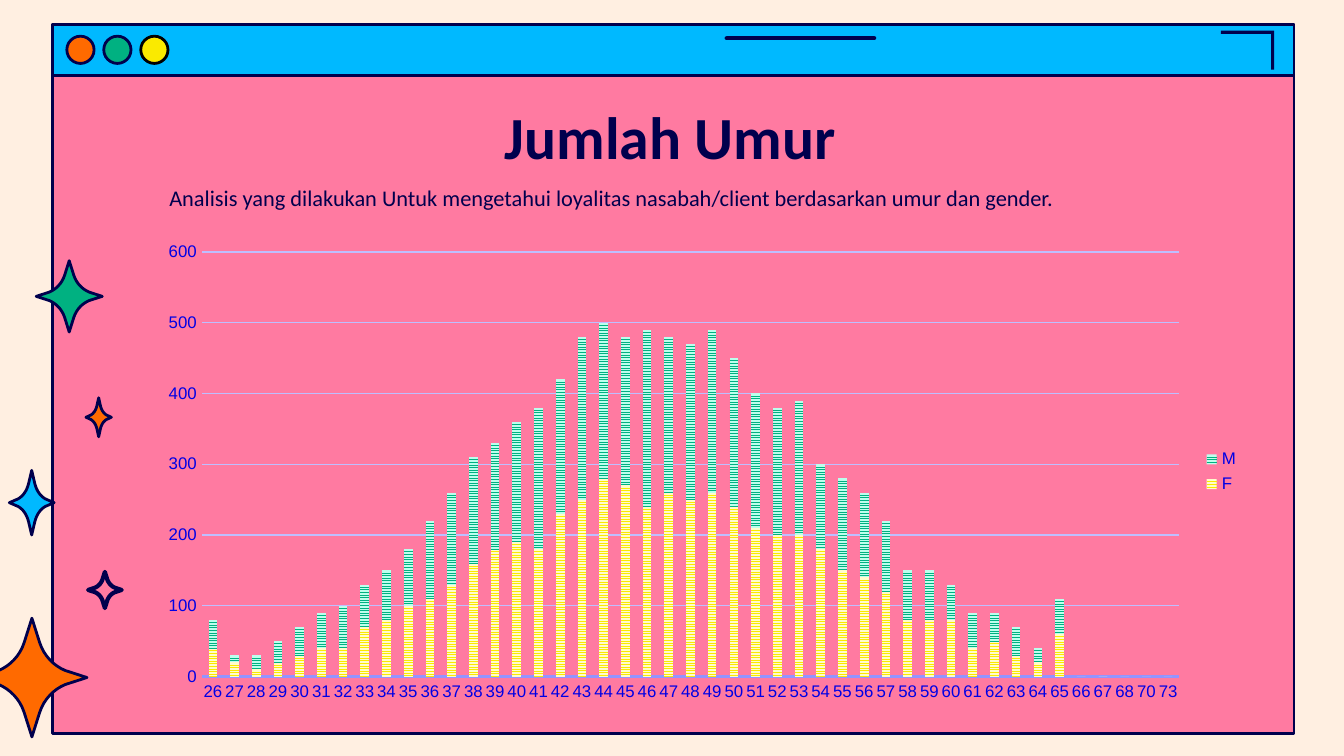
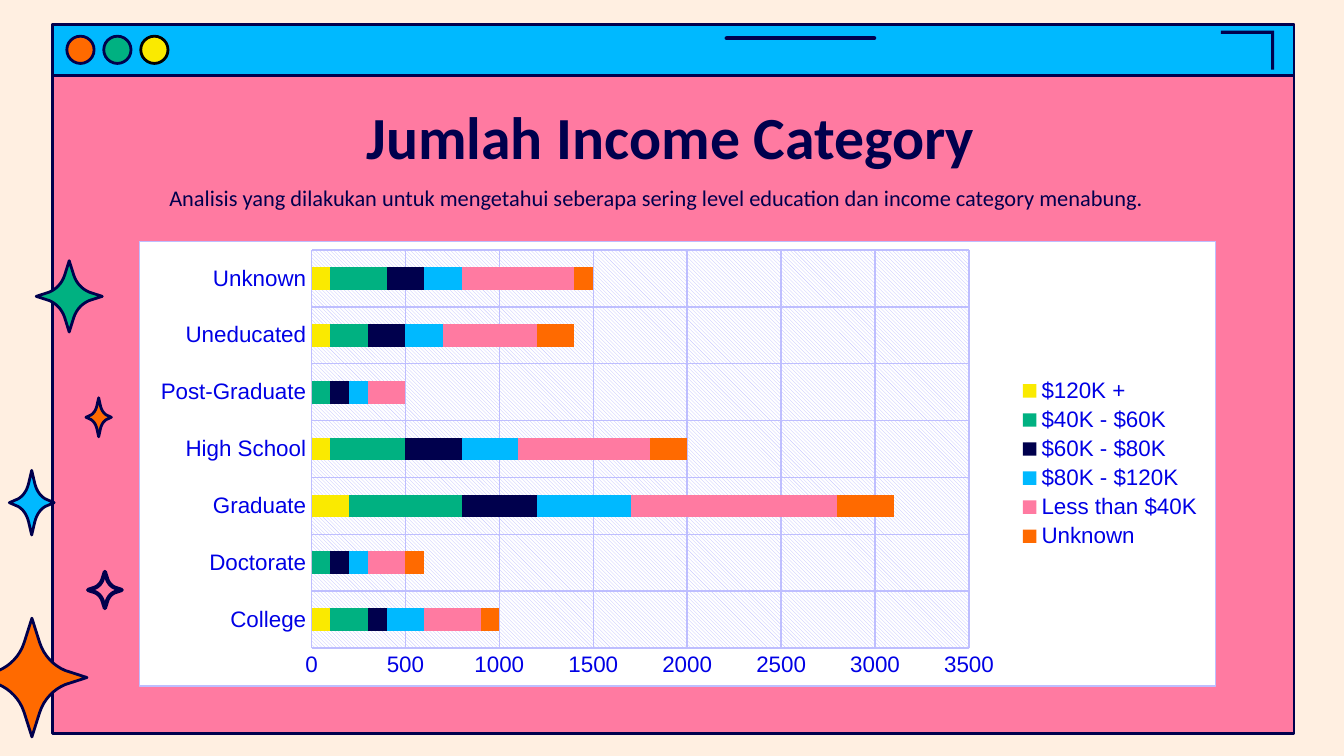
from dataclasses import dataclass
from typing import Optional, Sequence

from pptx import Presentation
from pptx.chart.data import CategoryChartData
from pptx.dml.color import RGBColor
from pptx.enum import chart as c, dml, shapes, text
from pptx.oxml import parse_xml
from pptx.oxml.ns import nsdecls, qn
from pptx.util import Pt

NAVY = RGBColor(0x00, 0x00, 0x4D)
BLACK = RGBColor(0x00, 0x00, 0x00)
WHITE = RGBColor(0xFF, 0xFF, 0xFF)
CREAM = RGBColor(0xFF, 0xEF, 0xE1)
PINK = RGBColor(0xFF, 0x7A, 0xA1)
SKY = RGBColor(0x00, 0xB9, 0xFF)
GREEN = RGBColor(0x00, 0xB1, 0x81)
MINT = RGBColor(0xBC, 0xFF, 0xED)
YELLOW = RGBColor(0xFA, 0xEA, 0x00)
PALE_YELLOW = RGBColor(0xFF, 0xFC, 0xCB)
ORANGE = RGBColor(0xFF, 0x6A, 0x00)
LABEL_BLUE = RGBColor(0x00, 0x00, 0xE5)
AXIS_BLUE = RGBColor(0x93, 0x93, 0xFF)
GRID_BLUE = RGBColor(0xBE, 0xBE, 0xFF)

TEXT_FONT = "Calibri"
CHART_FONT = "Arial"


@dataclass(frozen=True)
class Box:
    left: float
    top: float
    width: float
    height: float

    def lengths(self):
        return Pt(self.left), Pt(self.top), Pt(self.width), Pt(self.height)


@dataclass(frozen=True)
class Star:
    box: Box
    fill: Optional[RGBColor]
    line_width: float = 1.5


@dataclass(frozen=True)
class Series:
    name: str
    values: Sequence
    color: RGBColor
    stripe: Optional[RGBColor] = None


@dataclass(frozen=True)
class StackedChart:
    kind: c.XL_CHART_TYPE
    box: Box
    categories: Sequence[str]
    series: Sequence[Series]
    maximum: int
    step: int
    label_size: float
    category_line: tuple
    value_line: Optional[tuple] = None
    category_grid: bool = False
    panel: bool = False


@dataclass(frozen=True)
class Page:
    title: str
    body: str
    chart: StackedChart


TITLE_BOX = Box(54.7, 46, 609, 45.4)
BODY_BOX = Box(71.3, 91.4, 583.2, 252.7)
FRAME = Box(28, 13, 665.3, 380.1)
BAR = Box(28, 13, 665.3, 27.4)
DASH = Box(388.2, 19.4, 81.2, 2)
CORNER = [(654, 16.5), (682.6, 16.5), (682.6, 37.3), (680.9, 37.3), (680.9, 18.2), (654, 18.2)]
DOTS = [(ORANGE, NAVY), (GREEN, NAVY), (YELLOW, BLACK)]
STARS = [
    Star(Box(5, 252, 24, 34.6), SKY),
    Star(Box(47.2, 306.4, 18, 19.4), None, 2.25),
    Star(Box(-12.4, 331.2, 59, 63.6), ORANGE),
    Star(Box(19.4, 139.7, 35.4, 38.2), GREEN),
    Star(Box(46.1, 213.1, 13.6, 20.9), ORANGE),
]


def style_shape(shape, fill: Optional[RGBColor], line: Optional[RGBColor], width: float = 1.5) -> None:
    shape.shadow.inherit = False
    if fill is None:
        shape.fill.background()
    else:
        shape.fill.solid()
        shape.fill.fore_color.rgb = fill
    if line is None:
        shape.line.fill.background()
    else:
        style_line(shape.line, line, width)


def style_line(line, color: RGBColor, width: float) -> None:
    line.color.rgb = color
    line.width = Pt(width)


def add_preset(slide, kind, box: Box, fill: RGBColor, line: Optional[RGBColor]):
    shape = slide.shapes.add_shape(kind, *box.lengths())
    style_shape(shape, fill, line)
    return shape


def add_outline(slide, points: Sequence[tuple]):
    corners = [(Pt(x), Pt(y)) for x, y in points]
    builder = slide.shapes.build_freeform(*corners[0])
    builder.add_line_segments(corners[1:], close=True)
    return builder.convert_to_shape()


def star_points(box: Box) -> list:
    controls = [(0.14, 0.59), (0.22, 0.36), (0.4, 0.2), (0.6, 0.12)]
    quarter = [(0, 1)]
    for step in range(9):
        t = step / 8
        weights = [(1 - t) ** 3, 3 * t * (1 - t) ** 2, 3 * t * t * (1 - t), t ** 3]
        quarter.append(tuple(sum(w * p[axis] for w, p in zip(weights, controls)) for axis in (0, 1)))
    quarter.append((1, 0))
    half_width, half_height = box.width / 2, box.height / 2
    points = []
    for x_sign, y_sign in [(1, -1), (1, 1), (-1, 1), (-1, -1)]:
        arm = quarter if x_sign != y_sign else quarter[::-1]
        points += [
            (box.left + half_width * (1 + x_sign * x), box.top + half_height * (1 + y_sign * y))
            for x, y in arm[:-1]
        ]
    return points


def draw_window(slide, layout) -> None:
    oval = shapes.MSO_SHAPE.OVAL
    rectangle = shapes.MSO_SHAPE.RECTANGLE
    parts = [add_preset(slide, rectangle, FRAME, PINK, NAVY), add_preset(slide, rectangle, BAR, SKY, NAVY)]
    corner = add_outline(slide, CORNER)
    style_shape(corner, NAVY, None)
    dash = add_preset(slide, shapes.MSO_SHAPE.ROUNDED_RECTANGLE, DASH, NAVY, None)
    dash.adjustments[0] = 0.5
    parts += [corner, dash]
    for index, (fill, line) in enumerate(DOTS):
        parts.append(add_preset(slide, oval, Box(35.8 + 19.8 * index, 19.4, 14.6, 14.6), fill, line))
    for star in STARS:
        shape = add_outline(slide, star_points(star.box))
        style_shape(shape, star.fill, NAVY, star.line_width)
        parts.append(shape)
    for part in parts:
        layout.shapes.element.append(part.element)


def write_text(shape, box: Box, content: str, *, size: float, bold: bool = False,
               align=text.PP_ALIGN.LEFT, indent: float = 0) -> None:
    shape.left, shape.top, shape.width, shape.height = box.lengths()
    frame = shape.text_frame
    frame.word_wrap = True
    frame.auto_size = text.MSO_AUTO_SIZE.NONE
    frame.vertical_anchor = text.MSO_ANCHOR.TOP
    frame.margin_left = frame.margin_right = frame.margin_top = frame.margin_bottom = Pt(7.2)
    paragraph = frame.paragraphs[0]
    paragraph.alignment = align
    paragraph.space_before = Pt(0)
    properties = paragraph._p.get_or_add_pPr()
    properties.set("marL", str(Pt(indent)))
    properties.set("indent", "0")
    properties.append(parse_xml(f"<a:buNone {nsdecls('a')}/>"))
    run = paragraph.add_run()
    run.text = content
    style_font(run.font, TEXT_FONT, size, NAVY, bold)


def style_font(font, name: str, size: float, color: RGBColor, bold: bool = False) -> None:
    font.name = name
    font.size = Pt(size)
    font.bold = bold
    font.color.rgb = color


def area_format(fill: str, line: str = "<a:ln><a:noFill/></a:ln>"):
    return parse_xml(f"<c:spPr {nsdecls('c', 'a')}>{fill}{line}</c:spPr>")


def color_xml(color: RGBColor) -> str:
    return f'<a:srgbClr val="{color}"/>'


def style_areas(chart, panel: bool) -> None:
    chart_node = chart.element.find(qn("c:chart"))
    plot_area = chart_node.find(qn("c:plotArea"))
    empty = "<a:noFill/>"
    if not panel:
        chart_node.addnext(area_format(empty))
        plot_area.append(area_format(empty))
        return
    border = f'<a:ln w="{Pt(0.75)}"><a:solidFill>{color_xml(GRID_BLUE)}</a:solidFill></a:ln>'
    chart_node.addnext(area_format(f"<a:solidFill>{color_xml(WHITE)}</a:solidFill>", border))
    plot_area.append(area_format(
        f'<a:pattFill prst="ltDnDiag"><a:fgClr>{color_xml(GRID_BLUE)}</a:fgClr>'
        f"<a:bgClr>{color_xml(WHITE)}</a:bgClr></a:pattFill>"))


def style_axis(axis, size: float, line: Optional[tuple], grid: bool) -> None:
    axis.major_tick_mark = axis.minor_tick_mark = c.XL_TICK_MARK.NONE
    style_font(axis.tick_labels.font, CHART_FONT, size, LABEL_BLUE)
    axis.has_major_gridlines = grid
    if grid:
        style_line(axis.major_gridlines.format.line, GRID_BLUE, 0.75)
    if line is None:
        axis.format.line.fill.background()
    else:
        style_line(axis.format.line, *line)


def add_stacked_chart(slide, stacked: StackedChart) -> None:
    data = CategoryChartData()
    data.categories = stacked.categories
    for series in stacked.series:
        data.add_series(series.name, series.values)
    chart = slide.shapes.add_chart(stacked.kind, *stacked.box.lengths(), data).chart
    chart.has_title = False
    style_font(chart.font, CHART_FONT, 10, NAVY)
    chart.has_legend = True
    chart.legend.position = c.XL_LEGEND_POSITION.RIGHT
    chart.legend.include_in_layout = False
    style_font(chart.legend.font, CHART_FONT, stacked.label_size, LABEL_BLUE)
    plot = chart.plots[0]
    plot.gap_width, plot.overlap, plot.vary_by_categories = 150, 100, False
    for drawn, series in zip(plot.series, stacked.series):
        drawn.invert_if_negative = False
        fill = drawn.format.fill
        if series.stripe is None:
            fill.solid()
        else:
            fill.patterned()
            fill.pattern = dml.MSO_PATTERN.NARROW_HORIZONTAL
            fill.back_color.rgb = series.stripe
        fill.fore_color.rgb = series.color
    style_axis(chart.category_axis, stacked.label_size, stacked.category_line, stacked.category_grid)
    style_axis(chart.value_axis, stacked.label_size, stacked.value_line, True)
    chart.value_axis.minimum_scale = 0
    chart.value_axis.maximum_scale = stacked.maximum
    chart.value_axis.major_unit = stacked.step
    style_areas(chart, stacked.panel)


AGE_CHART = StackedChart(
    c.XL_CHART_TYPE.COLUMN_STACKED, Box(78.5, 124.6, 592.6, 256.3),
    [str(age) for age in [*range(26, 69), 70, 73]],
    [
        Series("F", [40, 20, 10, 20, 30, 40, 40, 70, 80, 100, 110, 130, 160, 180, 190,
                     180, 230, 250, 280, 270, 240, 260, 250, 260, 240, 210, 200, 200, 180, 150,
                     140, 120, 80, 80, 80, 40, 50, 30, 20, 60, 0, 0, None, None, None],
               YELLOW, PALE_YELLOW),
        Series("M", [40, 10, 20, 30, 40, 50, 60, 60, 70, 80, 110, 130, 150, 150, 170,
                     200, 190, 230, 220, 210, 250, 220, 220, 230, 210, 190, 180, 190, 120, 130,
                     120, 100, 70, 70, 50, 50, 40, 40, 20, 50, None, 0, 0, 0, 0],
               GREEN, MINT),
    ],
    maximum=600, step=100, label_size=9, category_line=(AXIS_BLUE, 1.5))

INCOME_CHART = StackedChart(
    c.XL_CHART_TYPE.BAR_STACKED, Box(74.2, 128.9, 577.4, 239),
    ["College", "Doctorate", "Graduate", "High School", "Post-Graduate", "Uneducated", "Unknown"],
    [
        Series("$120K +", [100, 0, 200, 100, 0, 100, 100], YELLOW),
        Series("$40K - $60K", [200, 100, 600, 400, 100, 200, 300], GREEN),
        Series("$60K - $80K", [100, 100, 400, 300, 100, 200, 200], NAVY),
        Series("$80K - $120K", [200, 100, 500, 300, 100, 200, 200], SKY),
        Series("Less than $40K", [300, 200, 1100, 700, 200, 500, 600], PINK),
        Series("Unknown", [100, 100, 300, 200, 0, 200, 100], ORANGE),
    ],
    maximum=3500, step=500, label_size=12, category_line=(GRID_BLUE, 0.75),
    value_line=(GRID_BLUE, 0.75), category_grid=True, panel=True)

PAGES = [
    Page("Jumlah Umur",
         "Analisis yang dilakukan Untuk mengetahui loyalitas nasabah/client berdasarkan umur dan gender.",
         AGE_CHART),
    Page("Jumlah Income Category",
         "Analisis yang dilakukan untuk mengetahui seberapa sering level education dan income category menabung.",
         INCOME_CHART),
]


def main() -> None:
    presentation = Presentation()
    presentation.slide_width, presentation.slide_height = Pt(720), Pt(405)
    layout = presentation.slide_layouts[1]
    layout.background.fill.solid()
    layout.background.fill.fore_color.rgb = CREAM
    slides = [presentation.slides.add_slide(layout) for _ in PAGES]
    draw_window(slides[0], layout)
    for slide, page in zip(slides, PAGES):
        write_text(slide.shapes.title, TITLE_BOX, page.title, size=32, bold=True, align=text.PP_ALIGN.CENTER)
        write_text(slide.placeholders[1], BODY_BOX, page.body, size=12, indent=12.2)
        add_stacked_chart(slide, page.chart)
    presentation.save("out.pptx")


if __name__ == "__main__":
    main()
